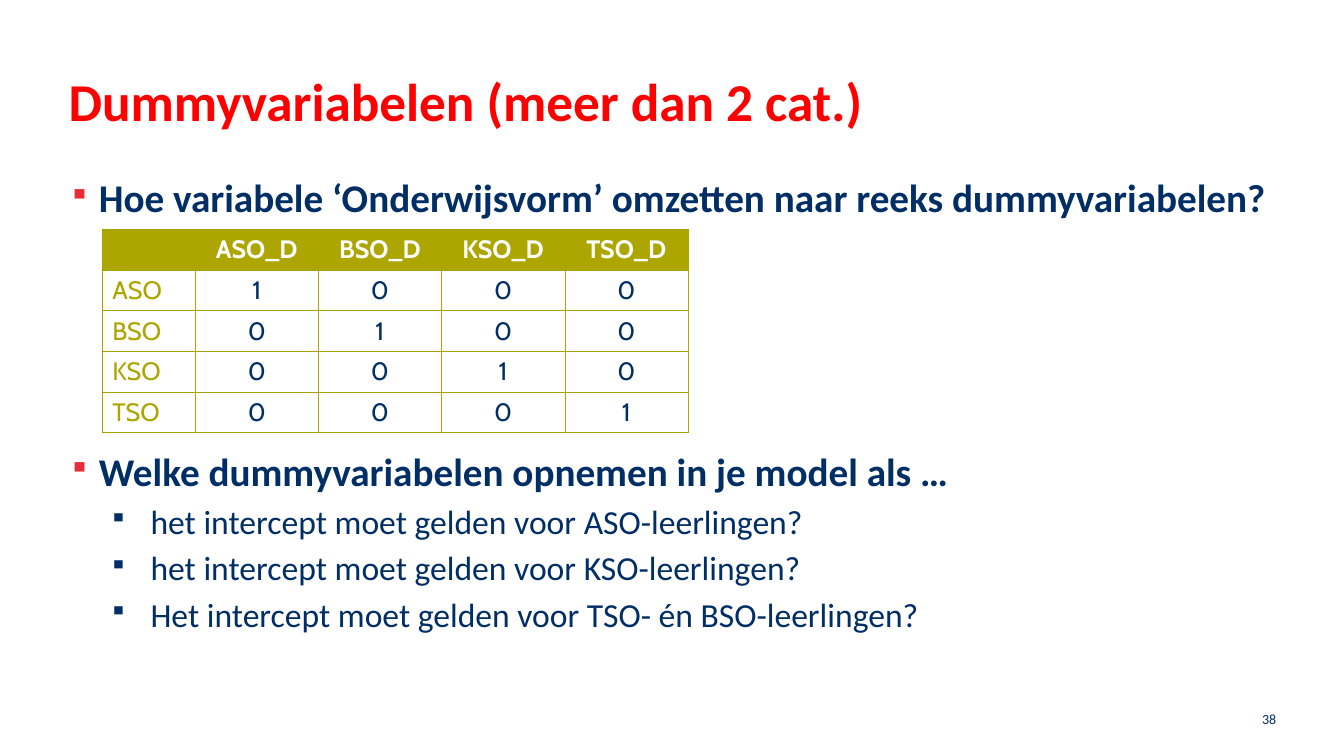
from lxml.etree import SubElement
from pptx import Presentation
from pptx.dml.color import RGBColor
from pptx.enum.text import MSO_ANCHOR, PP_ALIGN
from pptx.oxml.ns import qn
from pptx.util import Pt

RED = RGBColor(0xFF, 0x00, 0x00)
BULLET_RED = RGBColor(0xEA, 0x2C, 0x38)
NAVY = RGBColor(0x00, 0x2E, 0x65)
OLIVE = RGBColor(0xAD, 0xA5, 0x00)
DARK_OLIVE = RGBColor(0xA9, 0xA1, 0x00)
WHITE = RGBColor(0xFF, 0xFF, 0xFF)

TITLE = {"name": "Calibri", "size": Pt(38), "bold": True, "color": RED}
QUESTION = {"name": "Calibri", "size": Pt(28), "bold": True, "color": NAVY}
OPTION = {"name": "Calibri", "size": Pt(24), "bold": False, "color": NAVY}
NUMBER = {"name": "Calibri", "size": Pt(10), "bold": False, "color": NAVY}
HEADER = {"name": "Cabin", "size": Pt(18), "bold": True, "color": WHITE}
CATEGORY = {"name": "Cabin", "size": Pt(18), "bold": False, "color": OLIVE}
DUMMY = {"name": "Cabin", "size": Pt(18), "bold": False, "color": NAVY}


def write(paragraph, text, style):
    run = paragraph.add_run()
    run.text = text
    for key, value in style.items():
        if key == "color":
            run.font.color.rgb = value
        else:
            setattr(run.font, key, value)


def add_frame(left, top, width, height, inset=0):
    frame = slide.shapes.add_textbox(Pt(left), Pt(top), Pt(width), Pt(height)).text_frame
    frame.word_wrap = True
    if inset == 0:
        for side in ("left", "top", "right", "bottom"):
            setattr(frame, f"margin_{side}", 0)
    return frame


prs = Presentation()
prs.slide_width, prs.slide_height = Pt(960), Pt(540)
slide = prs.slides.add_slide(prs.slide_layouts[6])

heading = add_frame(49, 49, 862, 62.6)
write(heading.paragraphs[0], "Dummyvariabelen (meer dan 2 cat.)", TITLE)

page_number = add_frame(702.7, 499, 216, 28.8, inset=None)
page_number.vertical_anchor = MSO_ANCHOR.MIDDLE
page_number.paragraphs[0].alignment = PP_ALIGN.RIGHT
write(page_number.paragraphs[0], "38", NUMBER)

questions = [
    (124, 36, ["Hoe variabele ‘Onderwijsvorm’ omzetten naar reeks dummyvariabelen?"]),
    (319.6, 150, [
        "Welke dummyvariabelen opnemen in je model als …",
        "het intercept moet gelden voor ASO-leerlingen?",
        "het intercept moet gelden voor KSO-leerlingen?",
        "Het intercept moet gelden voor TSO- én BSO-leerlingen?",
    ]),
]
for top, height, lines in questions:
    frame = add_frame(49, top, 862, height)
    for index, line in enumerate(lines):
        paragraph = frame.add_paragraph() if index else frame.paragraphs[0]
        left, hanging = (58.5, 29.5) if index else (21.6, 21.6)
        props = paragraph._p.get_or_add_pPr()
        props.set("marL", str(Pt(left)))
        props.set("indent", str(-Pt(hanging)))
        if index:
            paragraph.level = 1
            paragraph.space_before = Pt(4.4)
        bullet_color = SubElement(props, qn("a:buClr"))
        SubElement(bullet_color, qn("a:srgbClr"), val=str(NAVY if index else BULLET_RED))
        SubElement(props, qn("a:buSzPct"), val="75000")
        SubElement(props, qn("a:buChar"), char="▪")
        write(paragraph, line, OPTION if index else QUESTION)

categories = ["ASO", "BSO", "KSO", "TSO"]
rows = [[""] + [f"{name}_D" for name in categories]]
for name in categories:
    rows.append([name] + [str(int(name == other)) for other in categories])

coding = slide.shapes.add_table(5, 5, Pt(73), Pt(163.8), Pt(418.4), Pt(145.5)).table
coding.horz_banding = False
for index, column in enumerate(coding.columns):
    column.width = Pt(88) if index else Pt(66.4)
for row in coding.rows:
    row.height = Pt(29.1)

for r, values in enumerate(rows):
    for c, value in enumerate(values):
        cell = coding.cell(r, c)
        cell.vertical_anchor = MSO_ANCHOR.MIDDLE if c else MSO_ANCHOR.TOP
        paragraph = cell.text_frame.paragraphs[0]
        paragraph.alignment = PP_ALIGN.CENTER if c else PP_ALIGN.LEFT
        write(paragraph, value, HEADER if r == 0 else DUMMY if c else CATEGORY)
        props = cell._tc.get_or_add_tcPr()
        for side in "LRTB":
            thin = side == "R" or (side == "L" and c > 0)
            border = SubElement(props, qn(f"a:ln{side}"), w=str(Pt(0.25 if thin else 0.75)))
            paint = SubElement(border, qn("a:solidFill"))
            SubElement(paint, qn("a:srgbClr"), val=str(OLIVE if thin else DARK_OLIVE))
        if r == 0:
            cell.fill.solid()
            cell.fill.fore_color.rgb = OLIVE
        else:
            cell.fill.background()

prs.save("out.pptx")
